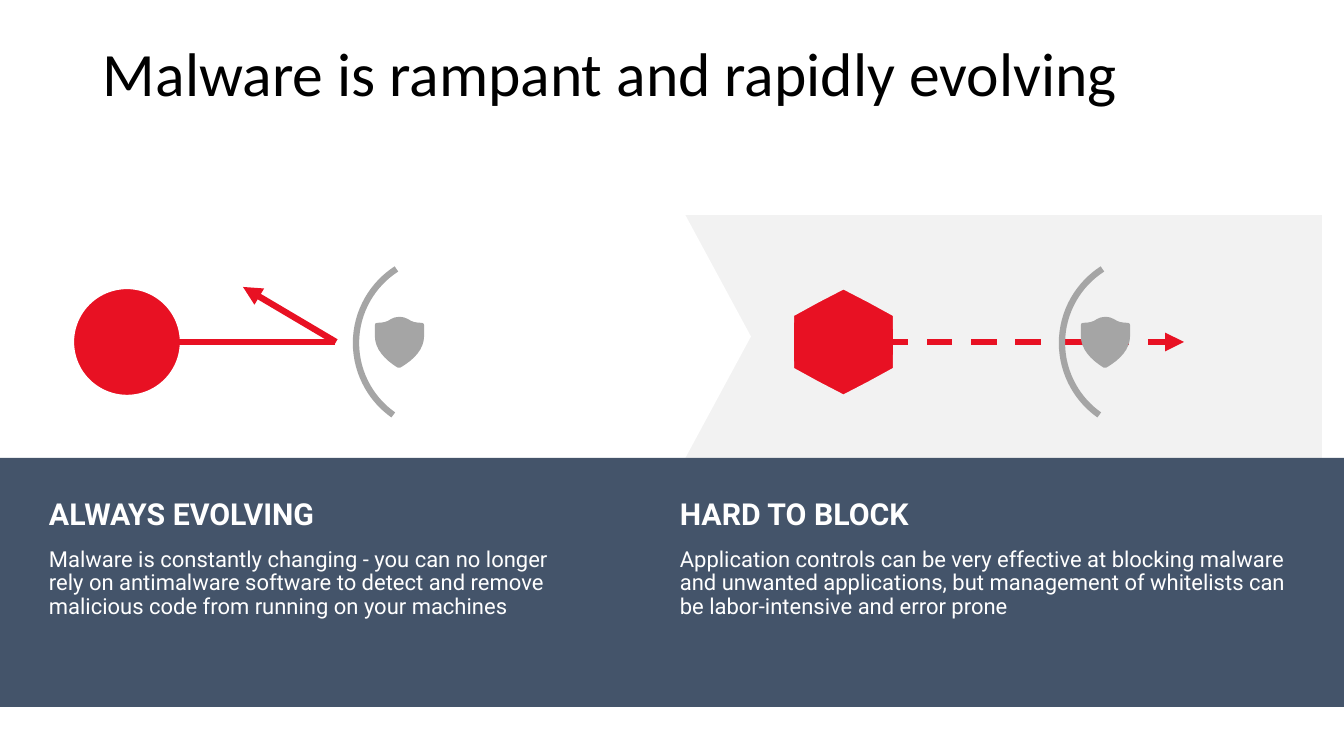
from lxml import etree
from pptx import Presentation
from pptx.dml.color import RGBColor
from pptx.enum.dml import MSO_LINE
from pptx.enum.shapes import MSO_CONNECTOR, MSO_SHAPE
from pptx.oxml.ns import qn
from pptx.util import Pt

RECTANGLE, PENTAGON = MSO_SHAPE.RECTANGLE, MSO_SHAPE.PENTAGON
OVAL, STAR, ARC = MSO_SHAPE.OVAL, MSO_SHAPE.STAR_6_POINT, MSO_SHAPE.ARC
STRAIGHT, DASH = MSO_CONNECTOR.STRAIGHT, MSO_LINE.DASH

WHITE = RGBColor(0xFF, 0xFF, 0xFF)
BLACK = RGBColor(0, 0, 0)
PALE = RGBColor(0xF2, 0xF2, 0xF2)
SLATE = RGBColor(0x44, 0x54, 0x6A)
RED = RGBColor(0xE8, 0x11, 0x23)
GRAY = RGBColor(0xA5, 0xA5, 0xA5)

TITLE = "Malware is rampant and rapidly evolving"
COLUMNS = [
    ((39, 464, 533, 217), "ALWAYS EVOLVING",
     "Malware is constantly changing - you can no longer rely on antimalware "
     "software to detect and remove malicious code from running on your machines"),
    ((670, 464, 631, 190), "HARD TO BLOCK",
     "Application controls can be very effective at blocking malware and unwanted "
     "applications, but management of whitelists can be labor-intensive and error prone"),
]
PANELS = [
    (RECTANGLE, (649, 215, 673, 243), PALE, ()),
    (PENTAGON, (0, 215, 751, 243), WHITE, (0.27,)),
    (RECTANGLE, (0, 458, 1344, 249), SLATE, ()),
]
THREATS = [
    (OVAL, (71, 286, 112, 112), WHITE, ()),
    (STAR, (791, 286, 105, 112), PALE, (0.436, 1.155)),
]
PATHS = [
    ((158, 342), (335, 342), False, False),
    ((336, 342), (243, 287), False, True),
    ((883, 342), (1184, 342), True, True),
]
GUARD_LEFTS = [356, 1062]
GUARD_TOP, ARC_SIZE = 255, 176
ARC_ANGLES = (302.7, 54.8)
ANGLE_UNIT = 0.6
SHIELD_OFFSET = (21, 64)
SHIELD_START = (45, 17)
SHIELD_CURVES = [
    ((45, 29), (36, 39), (22, 47)),
    ((9, 39), (0, 29), (0, 17)),
    ((0, 6), (0, 6), (0, 6)),
    ((6, 6), (11, 5), (15, 2)),
    ((17, 1), (19, 0), (22, 0)),
    ((26, 0), (28, 1), (30, 2)),
    ((34, 5), (39, 6), (45, 6)),
]
PX = 914400 / 100.8


def emu(*lengths):
    return [round(length * PX) for length in lengths]


def paint(shape, fill=None, line=None, width=4.5):
    shape.shadow.inherit = False
    if fill is None:
        shape.fill.background()
    else:
        shape.fill.solid()
        shape.fill.fore_color.rgb = fill
    if line is None:
        shape.line.fill.background()
    else:
        shape.line.color.rgb = line
        shape.line.width = Pt(width)


def add_preset(page, kind, place, fill=None, line=None, adjustments=()):
    shape = page.shapes.add_shape(kind, *emu(*place))
    for index, value in enumerate(adjustments):
        shape.adjustments[index] = value
    paint(shape, fill, line)
    return shape


def add_text(page, place, texts):
    box = page.shapes.add_textbox(*emu(*place))
    frame = box.text_frame
    frame.word_wrap = True
    for index, (text, name, size, color, bold, spacing) in enumerate(texts):
        para = frame.add_paragraph() if index else frame.paragraphs[0]
        para.text = text
        para.line_spacing = spacing
        if index:
            para.space_before = Pt(5.9)
        if len(texts) > 1:
            para.space_after = Pt(5.9)
        para.font.name, para.font.size, para.font.bold = name, Pt(size), bold
        para.font.color.rgb = color


def add_path(page, start, end, dashed, arrow):
    line = page.shapes.add_connector(STRAIGHT, *emu(*start, *end))
    line.line.color.rgb = RED
    line.line.width = Pt(4.5)
    if dashed:
        line.line.dash_style = DASH
    if arrow:
        etree.SubElement(line.line._get_or_add_ln(), qn("a:tailEnd"), type="triangle")
    etree.SubElement(line._element.spPr, qn("a:effectLst"))


def add_shield(page, left, top):
    builder = page.shapes.build_freeform(*emu(left + SHIELD_START[0], top + SHIELD_START[1]))
    builder.add_line_segments(
        [emu(left + end[0], top + end[1]) for _, _, end in SHIELD_CURVES], close=True)
    shield = builder.convert_to_shape()
    segments = list(shield._element.iter(qn("a:lnTo")))
    for segment, curve in zip(segments, SHIELD_CURVES):
        bezier = etree.Element(qn("a:cubicBezTo"))
        for point in curve:
            x, y = emu(*point)
            etree.SubElement(bezier, qn("a:pt"), x=str(x), y=str(y))
        segment.getparent().replace(segment, bezier)
    paint(shield, GRAY, GRAY, 3)


def add_guard(page, left):
    add_shield(page, left + SHIELD_OFFSET[0], GUARD_TOP + SHIELD_OFFSET[1])
    arc = add_preset(page, ARC, (left, GUARD_TOP, ARC_SIZE, ARC_SIZE), line=GRAY,
                     adjustments=[angle * ANGLE_UNIT for angle in ARC_ANGLES])
    arc._element.spPr.get_or_add_xfrm().set("flipH", "1")


def main():
    deck = Presentation()
    deck.slide_width, deck.slide_height = emu(1344, 756)
    page = deck.slides.add_slide(deck.slide_layouts[6])
    for kind, place, fill, adjustments in PANELS:
        add_preset(page, kind, place, fill, adjustments=adjustments)
    for place, heading, body in COLUMNS:
        add_text(page, place, [
            (heading, "Roboto", 21.6, WHITE, True, Pt(44.8)),
            (body, "Roboto", 15.7, WHITE, False, 0.9),
        ])
    add_text(page, (93, 38, 1159, 146), [(TITLE, "Calibri", 44, BLACK, False, 0.9)])
    for kind, place, line, adjustments in THREATS:
        add_preset(page, kind, place, RED, line, adjustments)
    for path in PATHS:
        add_path(page, *path)
    for left in GUARD_LEFTS:
        add_guard(page, left)
    deck.save("out.pptx")


if __name__ == "__main__":
    main()
